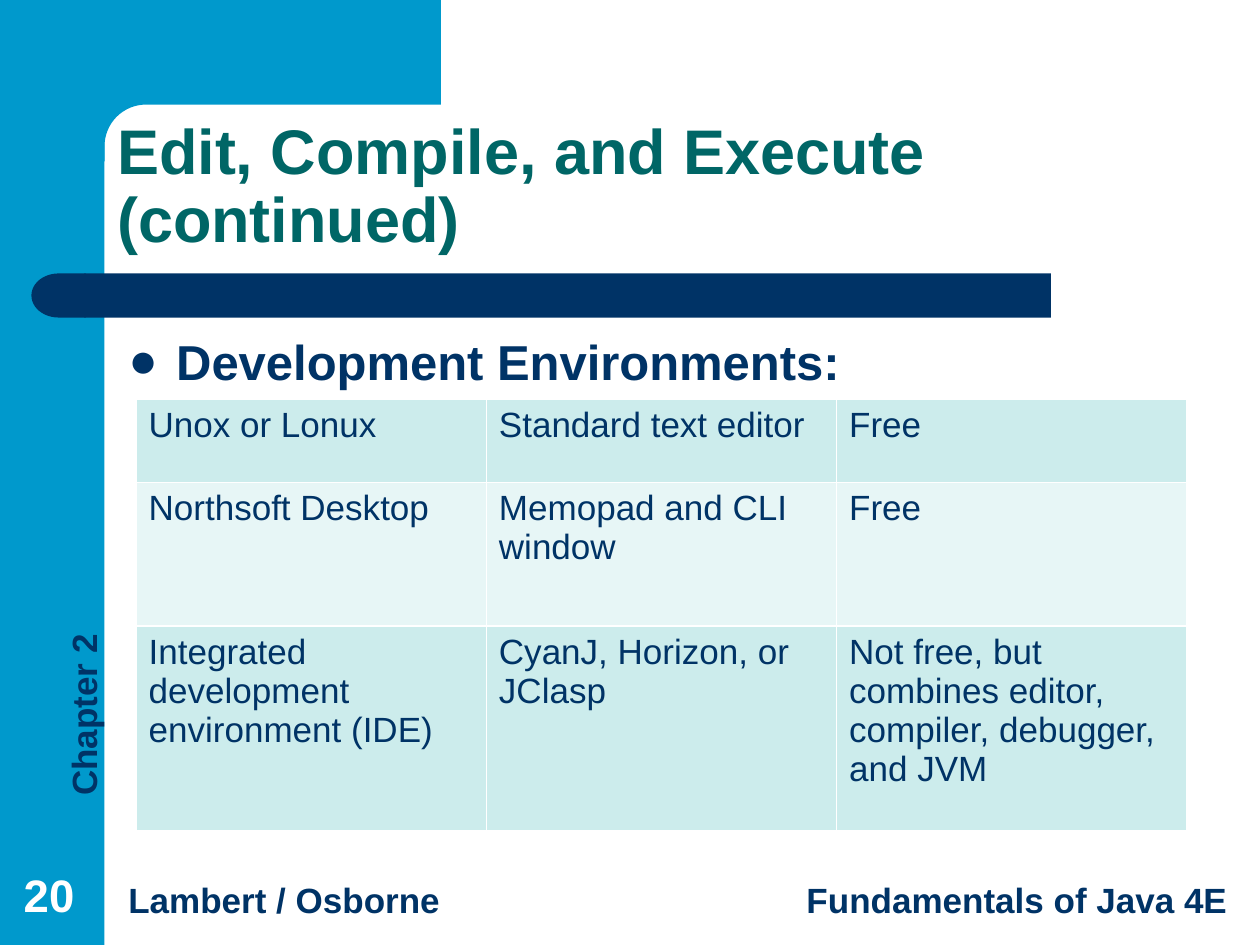
"""Build the slide on development environments."""
from math import cos, pi, sin

from lxml.etree import SubElement
from pptx import Presentation
from pptx.dml.color import RGBColor
from pptx.enum.shapes import MSO_SHAPE as SHAPE
from pptx.enum.text import MSO_ANCHOR as ANCHOR, PP_ALIGN as ALIGN
from pptx.oxml.ns import qn
from pptx.util import Inches, Pt

BLUE, NAVY, TEAL, WHITE = "0099CC", "003366", "006666", "FFFFFF"
BANDS = ["CCECEC", "E7F6F6"]
TITLE = "Edit, Compile, and Execute (continued)"
HEADING = "Development Environments:"
ENVIRONMENTS = [
    ("Unox or Lonux", "Standard text editor", "Free"),
    ("Northsoft Desktop", "Memopad and CLI window", "Free"),
    ("Integrated development environment (IDE)", "CyanJ, Horizon, or JClasp",
     "Not free, but combines editor, compiler, debugger, and JVM"),
]
COLUMN_WIDTH, ROW_HEIGHTS = 2.78, [0.66, 1.14, 1.62]
LABELS = [
    ("Chapter 2", (-1.02, 4.52, 2.92, 0.87), 20, NAVY,
     {"rotation": 270}, {"vertical_anchor": ANCHOR.BOTTOM}, {}),
    ("Lambert / Osborne", (0.92, 6.92, 2.75, 0.43), 20, NAVY, {}, {}, {}),
    ("Fundamentals of Java 4E", (5.17, 6.92, 4.67, 0.43), 20, NAVY,
     {}, {}, {"alignment": ALIGN.RIGHT}),
    ("20", (0.09, 6.83, 0.64, 0.53), 26, WHITE,
     {}, {"vertical_anchor": ANCHOR.BOTTOM}, {}),
]


def color(value):
    return RGBColor.from_string(value)


def apply(target, values):
    for name, value in values.items():
        setattr(target, name, value)


def paint(shape, fill):
    shape.shadow.inherit = False
    shape.fill.solid()
    shape.fill.fore_color.rgb = color(fill)
    shape.line.fill.background()


def add_shape(page, kind, at, fill):
    shape = page.shapes.add_shape(kind, *map(Inches, at))
    paint(shape, fill)
    return shape


def write(frame, text, size, ink, bold=True):
    frame.word_wrap = True
    para = frame.paragraphs[0]
    span = para.add_run()
    span.text = text
    apply(span.font, {"name": "Arial", "size": Pt(size), "bold": bold})
    span.font.color.rgb = color(ink)
    return para


def add_text(page, text, at, size, ink, shape_format, frame_format, para_format):
    box = page.shapes.add_textbox(*map(Inches, at))
    apply(box, shape_format)
    apply(box.text_frame, frame_format)
    para = write(box.text_frame, text, size, ink)
    apply(para, para_format)
    return para


def add_bullet(para, sign, ink):
    props = para._p.get_or_add_pPr()
    props.set("marL", str(Inches(0.38)))
    props.set("indent", str(Inches(-0.38)))
    SubElement(SubElement(props, qn("a:buClr")), qn("a:srgbClr"), val=ink)
    SubElement(props, qn("a:buFont"), typeface="Arial")
    SubElement(props, qn("a:buChar"), char=sign)


def add_corner(page):
    radius, steps = 0.33, 16
    center = 0.83 + radius
    angles = [pi / 2 * step / steps for step in range(steps + 1)]
    arc = [(center - radius * sin(a), center - radius * cos(a)) for a in angles]
    points = [(3.5, 0), (3.5, 0.83), *arc, (0.83, 1.28), (0.5, 1.28), (0.5, 0)]
    start, *others = [(Inches(x), Inches(y)) for x, y in points]
    builder = page.shapes.build_freeform(*start)
    builder.add_line_segments(others, close=True)
    paint(builder.convert_to_shape(), BLUE)


def add_borders(cell):
    props = cell._tc.get_or_add_tcPr()
    for place, side in enumerate(("a:lnL", "a:lnR", "a:lnT", "a:lnB")):
        line = SubElement(props, qn(side), w=str(Pt(1)))
        SubElement(SubElement(line, qn("a:solidFill")), qn("a:srgbClr"), val=WHITE)
        props.insert(place, line)


def add_environments(page):
    columns = len(ENVIRONMENTS[0])
    size = (COLUMN_WIDTH * columns, sum(ROW_HEIGHTS))
    table = page.shapes.add_table(len(ENVIRONMENTS), columns,
                                  *map(Inches, (1.08, 3.17, *size))).table
    apply(table, {"first_row": False, "horz_banding": False})
    for column in table.columns:
        column.width = Inches(COLUMN_WIDTH)
    for index, texts in enumerate(ENVIRONMENTS):
        table.rows[index].height = Inches(ROW_HEIGHTS[index])
        for cell, text in zip(table.rows[index].cells, texts):
            write(cell.text_frame, text, 20, NAVY, bold=False)
            cell.fill.solid()
            cell.fill.fore_color.rgb = color(BANDS[index % 2])
            add_borders(cell)


def main():
    deck = Presentation()
    apply(deck, {"slide_width": Inches(10), "slide_height": Inches(7.5)})
    page = deck.slides.add_slide(deck.slide_layouts[5])

    add_shape(page, SHAPE.RECTANGLE, (0, 0, 0.83, 7.5), BLUE)
    add_corner(page)
    bar = add_shape(page, SHAPE.ROUNDED_RECTANGLE, (0.67, 2.17, 7.67, 0.35), NAVY)
    bar.adjustments[0] = 0
    cap = add_shape(page, SHAPE.FLOWCHART_DELAY, (0.25, 2.17, 0.43, 0.35), NAVY)
    cap._element.spPr.xfrm.set("flipH", "1")
    for label in LABELS:
        add_text(page, *label)

    title = page.shapes.title
    apply(title, dict(zip(("left", "top", "width", "height"),
                          map(Inches, (0.83, 0.83, 8.92, 1.25)))))
    title.text_frame.vertical_anchor = ANCHOR.BOTTOM
    para = write(title.text_frame, TITLE, 36, TEAL)
    apply(para, {"alignment": ALIGN.LEFT, "line_spacing": 0.9})
    page.shapes._spTree.append(title._element)

    heading = add_text(page, HEADING, (0.92, 2.58, 8.41, 4.33), 28, NAVY, {}, {}, {})
    add_bullet(heading, "●", NAVY)
    add_environments(page)
    deck.save("out.pptx")


if __name__ == "__main__":
    main()
